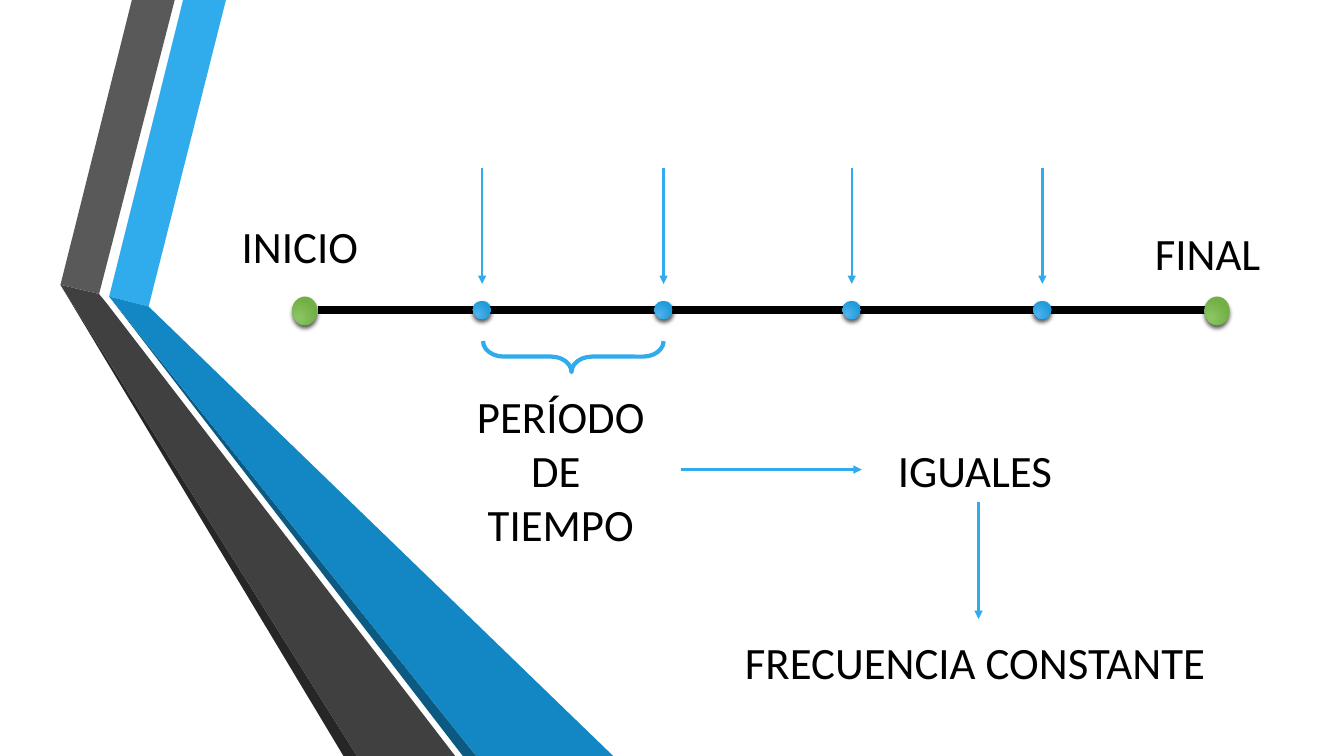
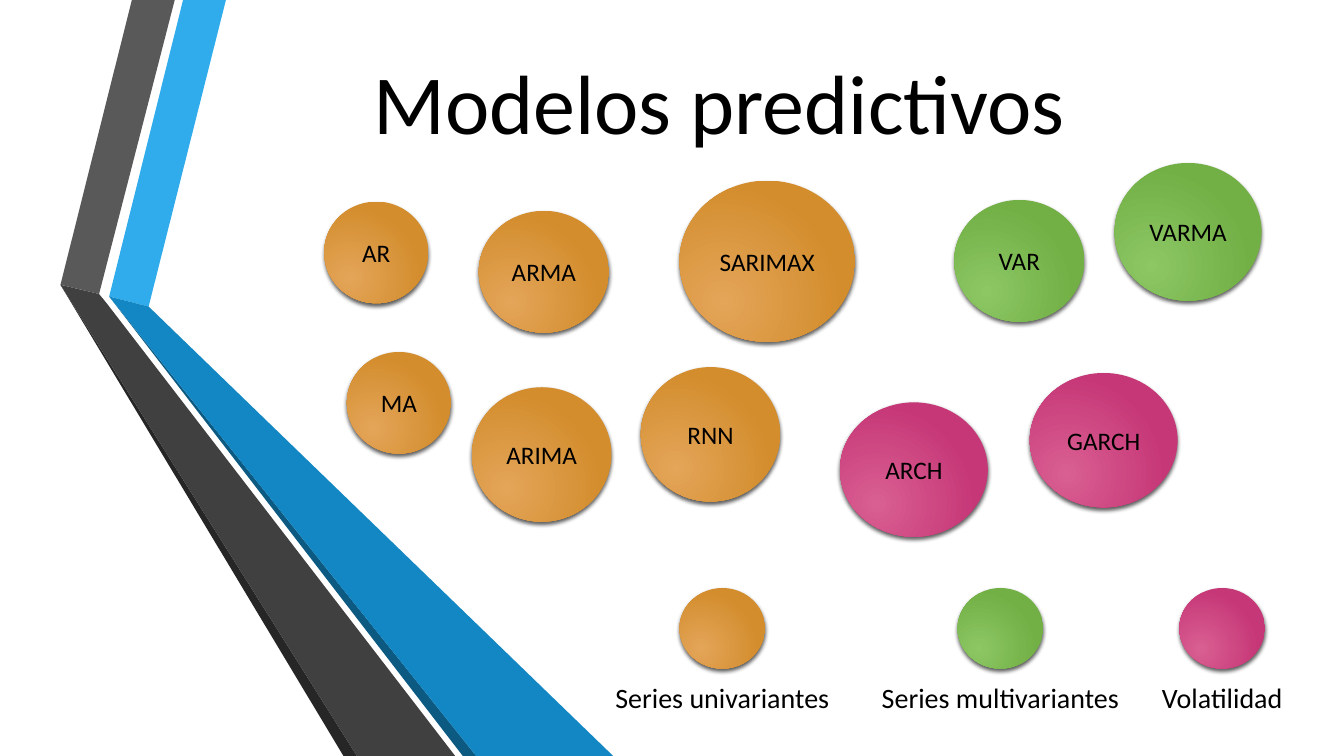
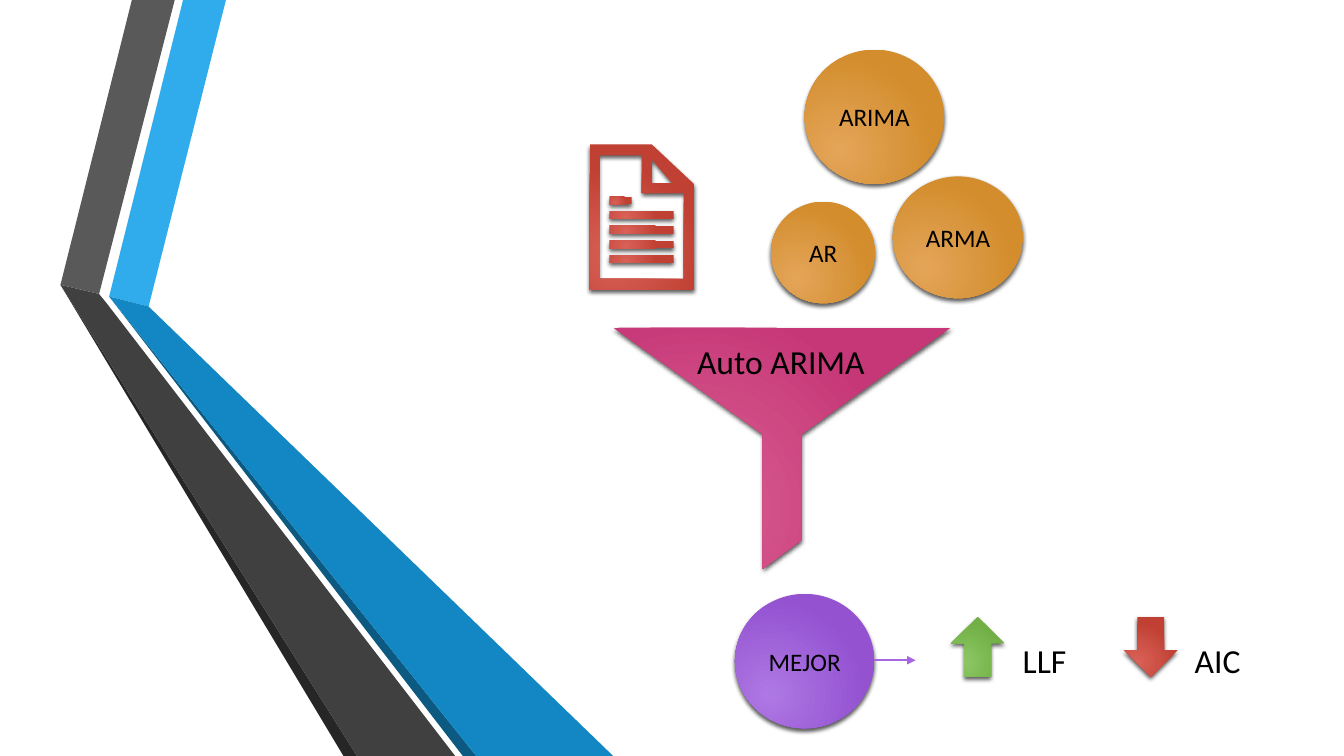
from dataclasses import dataclass
from lxml.etree import SubElement
from pptx import Presentation
from pptx.dml.color import RGBColor
from pptx.enum.shapes import MSO_CONNECTOR, MSO_SHAPE
from pptx.enum.text import MSO_ANCHOR, MSO_AUTO_SIZE, PP_ALIGN
from pptx.oxml.ns import qn
from pptx.util import Inches, Pt

COLS, ROWS = 160, 90
CELL = Inches(1) / 12
FONT = "Calibri"
COLORS = {
    "text": "000000", "sky": "30ACEC", "ocean": "1287C3", "navy": "0C5A82",
    "gray": "595959", "charcoal": "404040", "coal": "262626", "violet": "A666E1",
}
GRADIENTS = {
    "orange": ("E4A559", "D38D2D"), "green": ("8CC764", "72AF45"),
    "pink": ("D95F92", "C63777"), "red": ("D96157", "C04033"),
    "purple": ("AE78E3", "9452D1"), "blue": ("51B3ED", "219CDB"),
}
SMALL, MEDIUM, LARGE, WIDE = (12.4, 12.1), (15.5, 14.5), (16.6, 16), (17.6, 16)
MODELS = {
    "AR": ("orange", SMALL), "MA": ("orange", SMALL),
    "ARMA": ("orange", MEDIUM), "ARIMA": ("orange", LARGE),
    "RNN": ("orange", LARGE), "SARIMAX": ("orange", (20.9, 19.2)),
    "VAR": ("green", MEDIUM), "VARMA": ("green", (17.5, 16.4)),
    "ARCH": ("pink", WIDE), "GARCH": ("pink", WIDE), "MEJOR": ("purple", LARGE),
}


def grid(n):
    return round(n * CELL)


def rgb(name):
    return RGBColor.from_string(COLORS[name])


@dataclass
class Box:
    col: float
    row: float
    w: float
    h: float

    def sub(self, col, row, w, h):
        return Box(self.col + col, self.row + row, w, h)

    def point(self, col, row):
        return grid(self.col + col), grid(self.row + row)

    def emu(self):
        return tuple(grid(n) for n in (self.col, self.row, self.w, self.h))


def write(tf, text, size, align=PP_ALIGN.CENTER):
    tf.text = text
    for p in tf.paragraphs:
        p.alignment = align
        for r in p.runs:
            r.font.name, r.font.size = FONT, Pt(size)
            r.font.color.rgb = rgb("text")


def add_text(slide, box, text, size, align=PP_ALIGN.CENTER, wrap=True):
    tf = slide.shapes.add_textbox(*box.emu()).text_frame
    tf.word_wrap = wrap
    tf.auto_size = MSO_AUTO_SIZE.SHAPE_TO_FIT_TEXT
    write(tf, text, size, align)
    return tf


def gloss(sp, name):
    sp.line.fill.background()
    sp.fill.gradient()
    for stop, color in zip(sp.fill.gradient_stops, GRADIENTS[name]):
        stop.color.rgb = RGBColor.from_string(color)
    fill = sp.element.spPr.find(qn("a:gradFill"))
    fill.remove(fill.find(qn("a:lin")))
    radial = SubElement(fill, qn("a:path"), path="circle")
    SubElement(radial, qn("a:fillToRect"), l="50000", t="100000", r="100000", b="50000")
    sp.shadow.inherit = False
    effects = sp.element.spPr.find(qn("a:effectLst"))
    shadow = SubElement(effects, qn("a:outerShdw"), blurRad="38100", dist="25400",
                        dir="5400000", rotWithShape="0")
    black = SubElement(shadow, qn("a:srgbClr"), val="000000")
    SubElement(black, qn("a:alpha"), val="64000")


def add_glossy(slide, box, name, kind=MSO_SHAPE.OVAL):
    sp = slide.shapes.add_shape(kind, *box.emu())
    gloss(sp, name)
    return sp


def add_outline(shapes, box, *loops):
    first = [box.point(*pt) for pt in loops[0]]
    builder = shapes.build_freeform(*first[0], scale=1.0)
    builder.add_line_segments(first[1:], close=True)
    for loop in loops[1:]:
        pts = [box.point(*pt) for pt in loop]
        builder.move_to(*pts[0])
        builder.add_line_segments(pts[1:], close=True)
    return builder.convert_to_shape()


def add_line(slide, box, start, end, color, width=1.75, arrow=True):
    line = slide.shapes.add_connector(MSO_CONNECTOR.STRAIGHT,
                                      *box.point(*start), *box.point(*end))
    line.line.color.rgb = rgb(color)
    line.line.width = Pt(width)
    if arrow:
        SubElement(line.line._get_or_add_ln(), qn("a:tailEnd"), type="triangle")
    SubElement(line.element.spPr, qn("a:effectLst"))


def add_bubble(slide, box, name, col, row):
    color, size = MODELS[name]
    tf = add_glossy(slide, box.sub(col, row, *size), color).text_frame
    tf.vertical_anchor = MSO_ANCHOR.MIDDLE
    write(tf, name, 18)


def add_bubbles(slide, box, places):
    for name, (col, row) in places.items():
        add_bubble(slide, box, name, col, row)


def add_bands(prs, slide, box):
    bands = [
        ("sky", [(13, 35.3), (17.7, 36.5), (26.9, 0), (21.8, 0)]),
        ("gray", [(11.8, 35), (20.8, 0), (15.7, 0), (7.2, 33.9)]),
        ("coal", [(7.2, 33.9), (40.9, 90), (42.5, 90)]),
        ("navy", [(56.7, 90), (13, 35.3), (55.1, 90)]),
        ("ocean", [(13, 35.3), (56.7, 90), (73, 90), (17.7, 36.5)]),
        ("charcoal", [(54.2, 90), (12.7, 36.1), (11.8, 35), (7.2, 33.9), (42.5, 90)]),
    ]
    group = slide.shapes.add_group_shape()
    for color, pts in bands:
        sp = add_outline(group.shapes, box, pts)
        sp.fill.solid()
        sp.fill.fore_color.rgb = rgb(color)
        sp.line.fill.background()
        sp.shadow.inherit = False
    for number, props in enumerate(group.element.iter(qn("p:cNvPr")), 100):
        props.set("id", str(number))
    prs.slide_master.shapes.element.insert(2, group.element)


def add_timeline(slide, box):
    axis, dot, (end_w, end_h) = 16.9, 2.2, (3, 3.4)
    moments = (22.6, 44.2, 66.6, 89.3)
    add_line(slide, box, (end_w, axis), (box.w - end_w, axis), "text", 6, arrow=False)
    for col in (0, box.w - end_w):
        add_glossy(slide, box.sub(col, axis - end_h / 2 + 0.1, end_w, end_h), "green")
    for col in moments:
        add_glossy(slide, box.sub(col - dot / 2, axis - dot / 2, dot, dot), "blue")
        add_line(slide, box, (col, 0), (col, 13.8), "sky")
    brace = slide.shapes.add_shape(MSO_SHAPE.RIGHT_BRACE,
                                   *box.sub(31.6, 11.7, 3.7, 21.5).emu())
    brace.rotation = 90
    brace.adjustments[0], brace.adjustments[1] = 0.66, 0.51
    brace.fill.background()
    brace.line.color.rgb = rgb("sky")
    brace.line.width = Pt(3)
    brace.shadow.inherit = False
    add_text(slide, box.sub(-7.2, 5.4, 17.3, 7.7), "INICIO", 32, PP_ALIGN.LEFT, False)
    add_text(slide, box.sub(101.5, 6.3, 16.4, 7.7), "FINAL", 32, PP_ALIGN.LEFT, False)


def add_reasoning(slide, box):
    tf = add_text(slide, box.sub(0, 0, 25.6, 20.6), "PERÍODO\nDE \nTIEMPO", 32, wrap=False)
    tf.paragraphs[0].alignment = PP_ALIGN.LEFT
    add_line(slide, box, (25.5, 10.2), (47, 10.2), "sky")
    add_text(slide, box.sub(50.1, 6.4, 23.2, 7.7), "IGUALES", 32, PP_ALIGN.LEFT, False)
    add_line(slide, box, (60.9, 14.1), (60.9, 28), "sky")
    add_text(slide, box.sub(31.9, 29.3, 63.2, 7.7), "FRECUENCIA CONSTANTE", 32,
             PP_ALIGN.LEFT, False)


def add_title(slide, box, text):
    sp = slide.shapes.title
    sp.left, sp.top, sp.width, sp.height = box.emu()
    tf = sp.text_frame
    tf.auto_size = MSO_AUTO_SIZE.NONE
    tf.vertical_anchor = MSO_ANCHOR.BOTTOM
    write(tf, text, 60, PP_ALIGN.RIGHT)


def add_legend(slide, box):
    entries = [("orange", "Series univariantes", 17.1, 34.1),
               ("green", "Series multivariantes", 50.2, 38.4),
               ("pink", "Volatilidad", 76.6, 27)]
    for color, label, middle, width in entries:
        add_glossy(slide, box.sub(middle - 5.1, 0, 10.2, 9.6), color)
        add_text(slide, box.sub(middle - width / 2, 10.4, width, 5.3), label, 20)


def add_document(slide, box):
    sheet = [(7.4, 0), (0, 0), (0, box.h), (box.w, box.h), (box.w, 4.7)]
    inside = [(1.2, 16), (1.2, 1.3), (6.2, 1.3), (6.2, 5.8), (11.2, 5.8), (11.2, 16)]
    fold = [(7.4, 1.8), (9.8, 4.6), (7.4, 4.6)]
    gloss(add_outline(slide.shapes, box, inside, fold, sheet), "red")
    for i, width in enumerate((2.6, 7.6, 7.6, 7.6, 7.6)):
        add_glossy(slide, box.sub(2.4, 6.2 + 1.75 * i, width, 0.9), "red",
                   MSO_SHAPE.RECTANGLE)


def add_funnel(slide, box):
    outline = [(box.w, 0), (0, 0), (17.8, 12.7), (17.8, box.h), (22.4, 25.3), (22.4, 12.7)]
    gloss(add_outline(slide.shapes, box, outline), "pink")
    add_text(slide, box.sub(8.8, 1, 32.3, 6), "Auto ARIMA", 24, PP_ALIGN.LEFT)


def add_result(slide, box):
    add_bubble(slide, box, "MEJOR", 0, 0)
    add_line(slide, box, (16.5, 7.9), (21.5, 7.9), "violet")
    criteria = [("LLF", "green", MSO_SHAPE.UP_ARROW), ("AIC", "red", MSO_SHAPE.DOWN_ARROW)]
    for i, (label, color, kind) in enumerate(criteria):
        col = 25.7 + 20.6 * i
        add_glossy(slide, box.sub(col, 2.7, 6.4, 7.2), color, kind)
        add_text(slide, box.sub(col + 5.1, 4.9, 12.1, 6), label, 24)


def build_period_slide(slide):
    add_timeline(slide, Box(34.8, 20, 111.6, 28))
    add_reasoning(slide, Box(55.6, 45.7, 95.1, 37))


def build_models_slide(slide):
    add_title(slide, Box(-3.5, -4.4, 131.5, 23), "Modelos predictivos")
    add_bubbles(slide, Box(38, 19, 114, 46), {
        "ARMA": (19, 6.1), "AR": (0.6, 5), "ARIMA": (18.2, 27.1), "MA": (3.3, 22.9),
        "SARIMAX": (42.9, 2.5), "GARCH": (84.6, 25.4), "ARCH": (62, 28.9),
        "VARMA": (94.7, 0.4), "VAR": (75.6, 4.8), "RNN": (38.3, 24.7)})
    add_legend(slide, Box(68.9, 70, 90.1, 15.7))


def build_selection_slide(slide):
    add_funnel(slide, Box(73, 39, 40.2, 28.7))
    add_bubbles(slide, Box(91.8, 5.9, 30, 30.2),
                {"ARMA": (14.5, 15.1), "AR": (0, 18.1), "ARIMA": (4, 0)})
    add_document(slide, Box(70.2, 17.2, 12.4, 17.3))
    add_result(slide, Box(87.5, 70.7, 64, 16))


def main():
    prs = Presentation()
    prs.slide_width, prs.slide_height = grid(COLS), grid(ROWS)
    title_only, blank = prs.slide_layouts[5], prs.slide_layouts[6]
    pages = [(blank, build_period_slide), (title_only, build_models_slide),
             (blank, build_selection_slide)]
    for i, (layout, build) in enumerate(pages):
        slide = prs.slides.add_slide(layout)
        if i == 0:
            add_bands(prs, slide, Box(0, 0, COLS, ROWS))
        build(slide)
    prs.save("out.pptx")


if __name__ == "__main__":
    main()
